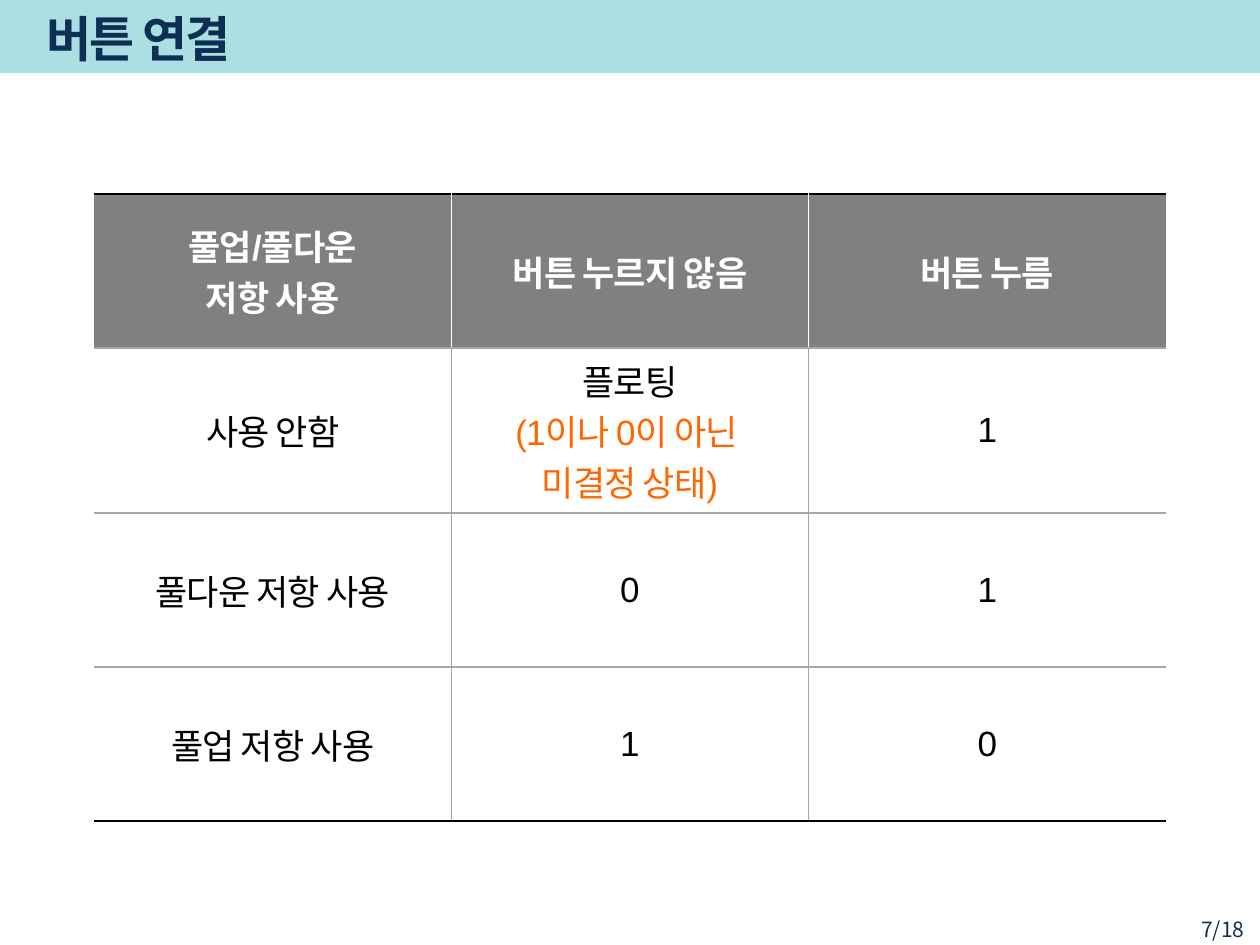
import lxml.etree
import pptx
import pptx.dml.color
import pptx.enum.shapes
import pptx.enum.text
import pptx.oxml.ns
import pptx.util
from dataclasses import dataclass

ALIGN = pptx.enum.text.PP_ALIGN
ANCHOR = pptx.enum.text.MSO_ANCHOR
EMU = 914400 / 126


@dataclass(frozen=True)
class Theme:
    band: str = "009EA8"
    navy: str = "0F2E53"
    head: str = "808080"
    grid: str = "A6A6A6"
    white: str = "FFFFFF"
    black: str = "000000"
    alert: str = "FF6600"
    sans: str = "Noto Sans CJK KR"
    latin: str = "Arial"
    title: int = 28
    body: int = 20
    small: int = 12
    line: float = 0.75


THEME = Theme()
ROWS = [
    ["풀업/풀다운\n저항 사용", "버튼 누르지 않음", "버튼 누름"],
    ["사용 안함", "플로팅\n(1이나 0이 아닌 \n미결정 상태)", "1"],
    ["풀다운 저항 사용", "0", "1"],
    ["풀업 저항 사용", "1", "0"],
]
TALL = 1
EXTRA = 11


def px(num):
    return pptx.util.Emu(round(num * EMU))


def rgb(code):
    return pptx.dml.color.RGBColor.from_string(code)


def sub(node, tag, **attrs):
    return lxml.etree.SubElement(node, pptx.oxml.ns.qn(tag), **attrs)


def style(para, face, size, color, bold=False, space=0, align=ALIGN.LEFT):
    para.alignment = align
    for run in para.runs:
        run.font.name = face
        run.font.size = pptx.util.Pt(size)
        run.font.bold = bold
        run.font.color.rgb = rgb(color)
        props = run.font._element
        props.set("spc", str(space))
        sub(props, "a:ea", typeface=THEME.sans)


def label(slide, box, text, anchor, **look):
    frame = slide.shapes.add_textbox(*map(px, box)).text_frame
    frame.word_wrap = True
    frame.vertical_anchor = anchor
    frame.text = text
    style(frame.paragraphs[0], THEME.sans, color=THEME.navy, **look)


def header(slide, box):
    left, top, width, height = box
    kind = pptx.enum.shapes.MSO_SHAPE.RECTANGLE
    band = slide.shapes.add_shape(kind, *map(px, box))
    band.shadow.inherit = False
    band.line.fill.background()
    band.fill.solid()
    band.fill.fore_color.rgb = rgb(THEME.band)
    tint = band.fill._xPr.find(".//" + pptx.oxml.ns.qn("a:srgbClr"))
    sub(tint, "a:alpha", val="33000")
    label(slide, (left + 34, top + 8, 1047, height - 11), "버튼 연결",
          ANCHOR.MIDDLE, size=THEME.title, bold=True, space=-100)


def border(cell, sides):
    props = cell._tc.get_or_add_tcPr()
    for spot, (side, color) in enumerate(sides.items()):
        width = str(pptx.util.Pt(THEME.line))
        line = sub(props, "a:ln" + side, w=width)
        if color:
            sub(sub(line, "a:solidFill"), "a:srgbClr", val=color)
        else:
            sub(line, "a:noFill")
        props.insert(spot, line)


def fill(cell, row, col):
    head = row == 0
    cell.vertical_anchor = ANCHOR.MIDDLE
    if head:
        cell.fill.solid()
        cell.fill.fore_color.rgb = rgb(THEME.head)
    else:
        cell.fill.background()
    cell.text_frame.text = ROWS[row][col]
    for spot, para in enumerate(cell.text_frame.paragraphs):
        ink = THEME.white if head else THEME.alert if spot else THEME.black
        style(para, THEME.latin, THEME.body, ink, head, -50, ALIGN.CENTER)
    rule = THEME.white if head else THEME.grid
    last = row == len(ROWS) - 1
    border(cell, {
        "L": rule if col > 0 else None,
        "R": rule if col < len(ROWS[0]) - 1 else None,
        "T": THEME.black if head else THEME.grid,
        "B": THEME.black if last else THEME.grid,
    })


def states(slide, box):
    left, top, width, height = box
    count = len(ROWS), len(ROWS[0])
    table = slide.shapes.add_table(*count, *map(px, box)).table
    table.first_row = table.horz_banding = False
    even = (height - EXTRA) // count[0]
    for row, line in enumerate(table.rows):
        line.height = px(even + EXTRA if row == TALL else even)
    for line in table.columns:
        line.width = px(width / count[1])
    for row in range(count[0]):
        for col in range(count[1]):
            fill(table.cell(row, col), row, col)


def footer(slide, box):
    label(slide, box, "7/18", ANCHOR.TOP, size=THEME.small, align=ALIGN.RIGHT)


def main():
    deck = pptx.Presentation()
    deck.slide_width, deck.slide_height = px(1260), px(945)
    slide = deck.slides.add_slide(deck.slide_layouts[6])
    header(slide, (0, -3, 1260, 76))
    states(slide, (94, 194, 1072, 627))
    footer(slide, (1141, 910, 116, 29))
    deck.save("out.pptx")


if __name__ == "__main__":
    main()
